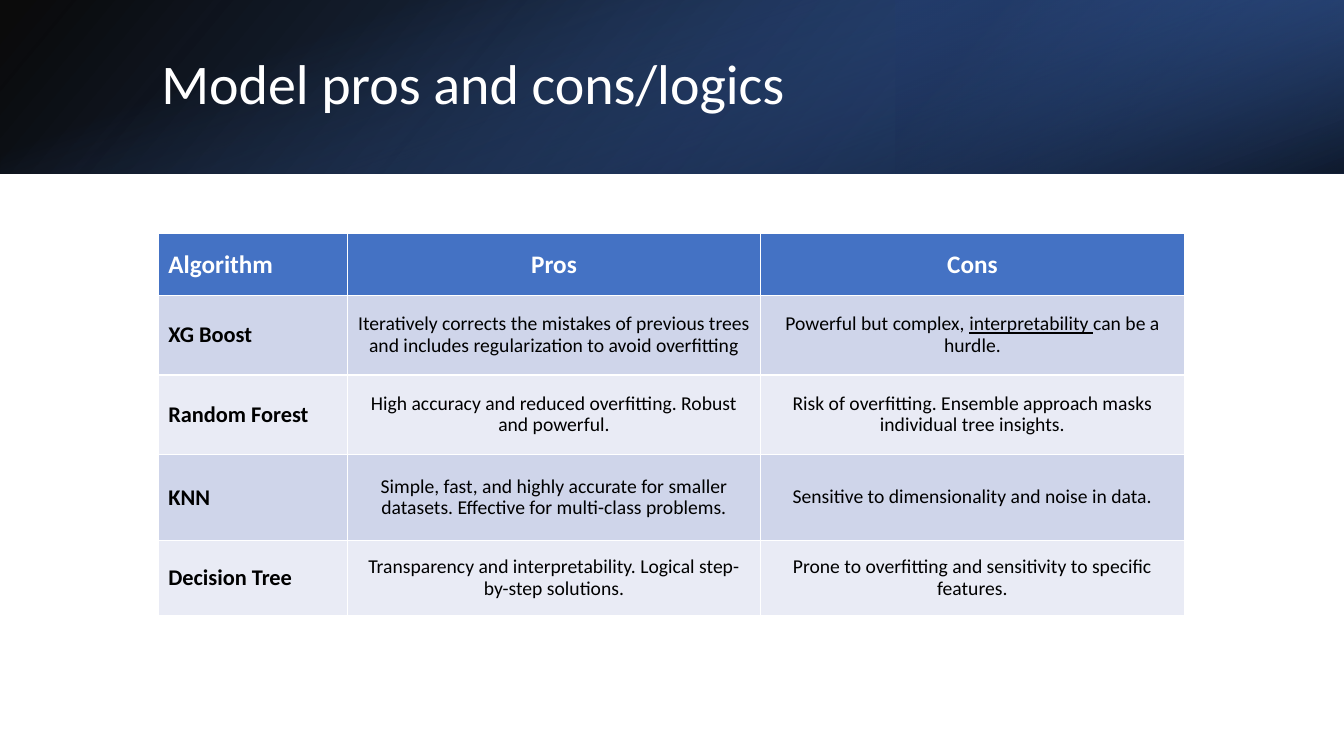
from lxml import etree
from pptx import Presentation
from pptx.dml.color import RGBColor
from pptx.enum.shapes import MSO_SHAPE
from pptx.enum.text import MSO_ANCHOR, MSO_AUTO_SIZE, PP_ALIGN
from pptx.oxml.ns import qn
from pptx.util import Inches, Pt

RECTANGLE = MSO_SHAPE.RECTANGLE
MIDDLE = MSO_ANCHOR.MIDDLE
NO_AUTOFIT = MSO_AUTO_SIZE.NONE
LEFT, CENTER = PP_ALIGN.LEFT, PP_ALIGN.CENTER

BLACK = RGBColor(0x00, 0x00, 0x00)
WHITE = RGBColor(0xFF, 0xFF, 0xFF)
NAVY = RGBColor(0x20, 0x38, 0x64)
DEEP_BLUE = RGBColor(0x2F, 0x55, 0x97)
BLUE = RGBColor(0x44, 0x72, 0xC4)
ROW_FILLS = (RGBColor(0xCF, 0xD5, 0xEA), RGBColor(0xE9, 0xEB, 0xF5))

FONT = "Calibri"
TITLE = "Model pros and cons/logics"
HEADINGS = ("Algorithm", "Pros", "Cons")

# Every second run of a cell is underlined.
ALGORITHMS = [
    (["XG Boost"],
     ["Iteratively corrects the mistakes of previous trees and includes "
      "regularization to avoid overfitting"],
     ["Powerful but complex, ", "interpretability ", "can be a hurdle."]),
    (["Random Forest"],
     ["High accuracy and reduced overfitting. Robust and powerful."],
     ["Risk of overfitting. Ensemble approach masks individual tree insights."]),
    (["KNN"],
     ["Simple, fast, and highly accurate for smaller datasets. "
      "Effective for multi-class problems."],
     ["Sensitive to dimensionality and noise in data."]),
    (["Decision Tree"],
     ["Transparency and interpretability. Logical step-by-step solutions."],
     ["Prone to overfitting and sensitivity to specific features."]),
]
COLUMN_WIDTHS = (1.88, 4.09, 4.21)
ROW_HEIGHTS = (0.61, 0.79, 0.79, 0.85, 0.75)

SLIDE_WIDTH, BANNER_HEIGHT = 13.33, 1.72
TURNED_OFFSET = (SLIDE_WIDTH - BANNER_HEIGHT) / 2

# Box, rotation, mirrored, clockwise gradient angle, stops (position, colour, opacity).
BANNER_LAYERS = [
    ((0, 0, SLIDE_WIDTH, BANNER_HEIGHT), 0, True, 140,
     ((0, BLACK, 96), (100, DEEP_BLUE, 100))),
    ((SLIDE_WIDTH * 2 / 3, 0, SLIDE_WIDTH / 3, BANNER_HEIGHT), 180, True, 320,
     ((19, NAVY, 68), (100, BLUE, 79))),
    ((TURNED_OFFSET, -TURNED_OFFSET, BANNER_HEIGHT, SLIDE_WIDTH), 90, False, 340,
     ((23, BLUE, 0), (99, BLACK, 74))),
]


def add_banner_layer(slide, box, rotation, mirrored, angle, stops):
    """Add one translucent gradient rectangle of the banner."""
    layer = slide.shapes.add_shape(RECTANGLE, *map(Inches, box))
    layer.shadow.inherit = False
    layer.line.fill.background()
    layer.rotation = rotation
    properties = layer._element.spPr
    if mirrored:
        properties.find(qn("a:xfrm")).set("flipH", "1")
    layer.fill.gradient()
    layer.fill.gradient_angle = 360 - angle
    for stop, (position, color, _) in zip(layer.fill.gradient_stops, stops):
        stop.position = position / 100
        stop.color.rgb = color
    for color, (_, _, opacity) in zip(properties.iter(qn("a:srgbClr")), stops):
        etree.SubElement(color, qn("a:alpha")).set("val", str(opacity * 1000))


def write_runs(paragraph, runs, size, color, bold=False):
    """Add the runs to a paragraph, underlining every second one."""
    for index, text in enumerate(runs):
        run = paragraph.add_run()
        run.text = text
        run.font.name = FONT
        run.font.size = Pt(size)
        run.font.bold = bold
        run.font.underline = index % 2 == 1
        run.font.color.rgb = color


def add_title(slide):
    """Place the title over the banner."""
    title = slide.shapes.title
    title.left, title.top = Inches(1.5), Inches(0.38)
    title.width, title.height = Inches(10.98), Inches(0.96)
    frame = title.text_frame
    frame.auto_size = NO_AUTOFIT
    frame.word_wrap = True
    frame.vertical_anchor = MIDDLE
    paragraph = frame.paragraphs[0]
    paragraph.alignment = LEFT
    paragraph.line_spacing = 0.9
    write_runs(paragraph, [TITLE], 40, WHITE)


def add_comparison(slide):
    """Add the table of algorithms with their pros and cons."""
    rows = [[[heading] for heading in HEADINGS], *ALGORITHMS]
    comparison = slide.shapes.add_table(
        len(rows), len(HEADINGS), Inches(1.57), Inches(2.32),
        Inches(sum(COLUMN_WIDTHS)), Inches(sum(ROW_HEIGHTS))).table
    for column, width in zip(comparison.columns, COLUMN_WIDTHS):
        column.width = Inches(width)
    for row, height in zip(comparison.rows, ROW_HEIGHTS):
        row.height = Inches(height)
    for r, row in enumerate(rows):
        for c, runs in enumerate(row):
            header, name = r == 0, c == 0
            cell = comparison.cell(r, c)
            cell.vertical_anchor = MIDDLE
            cell.fill.solid()
            cell.fill.fore_color.rgb = BLUE if header else ROW_FILLS[(r - 1) % 2]
            paragraph = cell.text_frame.paragraphs[0]
            paragraph.alignment = LEFT if name else CENTER
            if not header and not name:
                paragraph.line_spacing = 0.9
            size = 18 if header else 16 if name else 14
            write_runs(paragraph, runs, size, WHITE if header else BLACK,
                       header or name)


def main():
    """Build the slide and save it."""
    presentation = Presentation()
    presentation.slide_width = Inches(SLIDE_WIDTH)
    presentation.slide_height = Inches(7.5)
    slide = presentation.slides.add_slide(presentation.slide_layouts[5])
    for layer in BANNER_LAYERS:
        add_banner_layer(slide, *layer)
    title = slide.shapes.title._element
    title.getparent().append(title)
    add_title(slide)
    add_comparison(slide)
    presentation.save("out.pptx")


if __name__ == "__main__":
    main()
